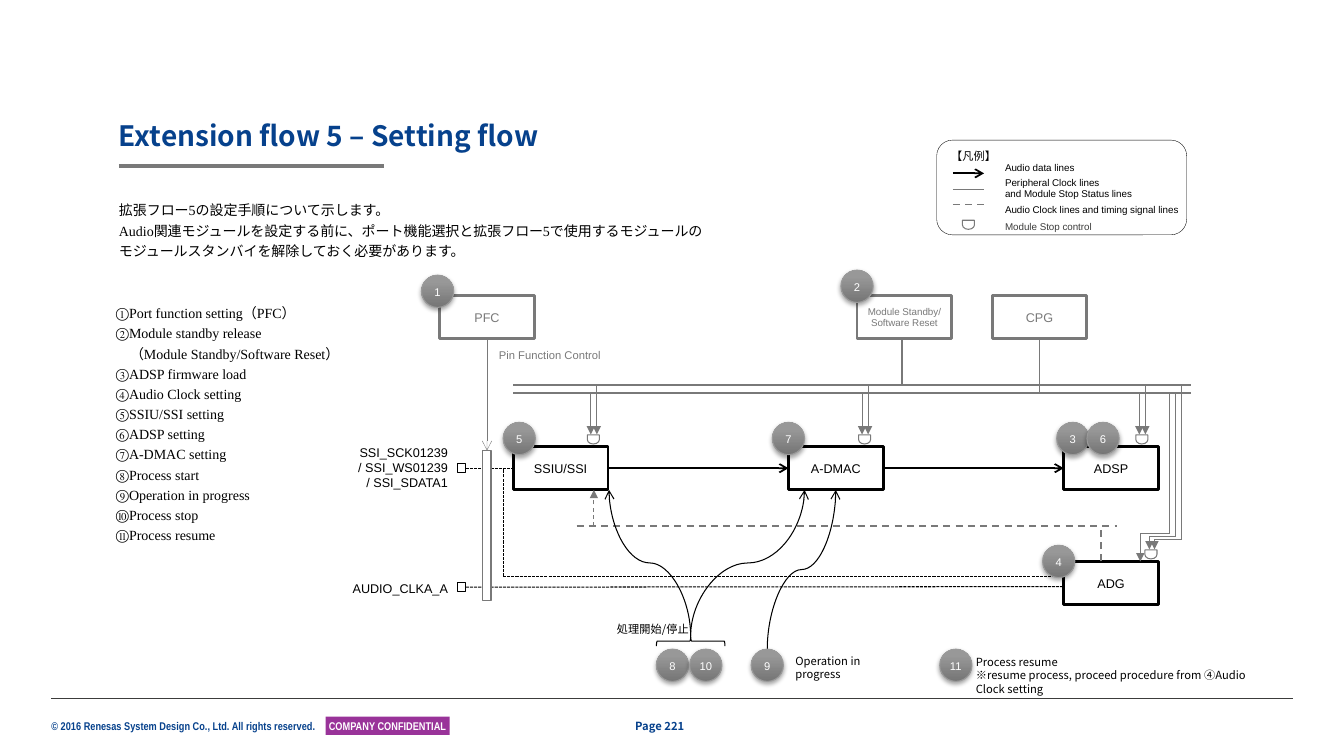
from dataclasses import dataclass, replace
from typing import NamedTuple, Optional

from lxml import etree
from pptx import Presentation
from pptx.dml.color import RGBColor
from pptx.enum import dml, shapes, text
from pptx.oxml.ns import qn
from pptx.util import Inches, Pt

COLOURS = {"black": "000000", "white": "FFFFFF", "grey": "797979", "dark": "3C3C3B",
           "blue": "06418C", "purple": "993399", "badge_low": "757575",
           "badge_high": "989898", "badge_line": "9A9A9A"}
SANS, NARROW, CJK, SERIF = "Arial", "Arial Narrow", "Noto Sans CJK JP", "Times New Roman"
SHAPE, ALIGN, ANCHOR = shapes.MSO_SHAPE, text.PP_ALIGN, text.MSO_ANCHOR
DASH = dml.MSO_LINE
BLOCK_WIDTH, BLOCK_HEIGHT, BADGE_SIZE = 0.94, 0.43, 0.32
BUS_TOP, BUS_BOTTOM = 3.82, 3.9


class Box(NamedTuple):
    left: float
    top: float
    width: float
    height: float


@dataclass(frozen=True)
class TextStyle:
    size: float
    font: str = SANS
    colour: str = "black"
    bold: bool = False
    align: ALIGN = ALIGN.LEFT
    anchor: ANCHOR = ANCHOR.TOP
    inset: Optional[float] = None
    spacing: Optional[float] = None
    wrap: bool = True


@dataclass(frozen=True)
class WireStyle:
    colour: str
    width: float
    dash: Optional[DASH] = None
    arrow: Optional[str] = None


class Block(NamedTuple):
    label: str
    left: float
    top: float
    colour: str = "black"
    size: float = 9


class Label(NamedTuple):
    box: Box
    lines: str
    style: TextStyle


presentation = Presentation()
presentation.slide_width, presentation.slide_height = Inches(13.33), Inches(7.5)
slide = presentation.slides.add_slide(presentation.slide_layouts[5])


def rgb(name: str) -> RGBColor:
    return RGBColor.from_string(COLOURS[name])


def write(shape, lines: str, style: TextStyle) -> None:
    frame = shape.text_frame
    frame.text = lines
    frame.word_wrap = style.wrap
    frame.vertical_anchor = style.anchor
    if style.inset is not None:
        frame.margin_left = frame.margin_right = Inches(style.inset)
        frame.margin_top = frame.margin_bottom = 0
    for paragraph in frame.paragraphs:
        paragraph.alignment = style.align
        if style.spacing:
            paragraph.line_spacing = style.spacing
        font = paragraph.font
        font.name, font.size, font.bold = style.font, Pt(style.size), style.bold
        font.color.rgb = rgb(style.colour)


def add_label(label: Label):
    box = slide.shapes.add_textbox(*map(Inches, label.box))
    write(box, label.lines, label.style)
    return box


def add_shape(kind: SHAPE, box: Box, line: Optional[str], width: float = 0.75,
              fill: Optional[str] = None, rotation: float = 0):
    shape = slide.shapes.add_shape(kind, *map(Inches, box))
    shape.shadow.inherit = False
    shape.rotation = rotation
    if fill:
        shape.fill.solid()
        shape.fill.fore_color.rgb = rgb(fill)
    else:
        shape.fill.background()
    if line:
        shape.line.color.rgb = rgb(line)
        shape.line.width = Pt(width)
    else:
        shape.line.fill.background()
    return shape


def add_block(block: Block):
    shape = add_shape(SHAPE.RECTANGLE, Box(block.left, block.top, BLOCK_WIDTH, BLOCK_HEIGHT),
                      block.colour, 2)
    write(shape, block.label, TextStyle(block.size, colour=block.colour, align=ALIGN.CENTER,
                                        anchor=ANCHOR.MIDDLE, inset=0))
    return shape


def add_gate(left: float, top: float) -> None:
    """Draw a module stop gate, its round side down."""
    add_shape(SHAPE.FLOWCHART_DELAY, Box(left, top, 0.09, 0.12), "grey", rotation=90)


def add_badge(number: int, left: float, top: float) -> None:
    badge = add_shape(SHAPE.OVAL, Box(left, top, BADGE_SIZE, BADGE_SIZE), "badge_line")
    badge.fill.gradient()
    badge.fill.gradient_angle = 90
    low, high = badge.fill.gradient_stops
    low.color.rgb, high.color.rgb = rgb("badge_low"), rgb("badge_high")
    high.position = 0.8
    effects = badge.element.spPr.find(qn("a:effectLst"))
    shadow = etree.SubElement(effects, qn("a:outerShdw"), blurRad="40000", dist="23000",
                              dir="5400000", rotWithShape="0")
    colour = etree.SubElement(shadow, qn("a:srgbClr"), val=COLOURS["black"])
    etree.SubElement(colour, qn("a:alpha"), val="35000")
    write(badge, str(number), TextStyle(8, colour="white", align=ALIGN.CENTER, inset=0,
                                        anchor=ANCHOR.MIDDLE, spacing=Pt(11), wrap=False))


def add_wire(start: tuple, end: tuple, style: WireStyle, begin=None, finish=None,
             kind=shapes.MSO_CONNECTOR.STRAIGHT):
    """Draw a line; begin and finish are optional (shape, side) joints."""
    wire = slide.shapes.add_connector(kind, *map(Inches, (*start, *end)))
    wire.line.color.rgb = rgb(style.colour)
    wire.line.width = Pt(style.width)
    if style.dash:
        wire.line.dash_style = style.dash
    properties = wire.element.spPr
    if style.arrow:
        etree.SubElement(properties.find(qn("a:ln")), qn("a:tailEnd"), type=style.arrow)
    etree.SubElement(properties, qn("a:effectLst"))
    if begin:
        wire.begin_connect(*begin)
    if finish:
        wire.end_connect(*finish)
    return wire


def add_rising_curve(start: tuple, end: tuple, style: WireStyle) -> None:
    """Draw an S-curve that leaves and arrives vertically: a level one turned by 270 degrees."""
    middle_x, middle_y = (start[0] + end[0]) / 2, (start[1] + end[1]) / 2
    half_rise, half_shift = (start[1] - end[1]) / 2, (end[0] - start[0]) / 2
    curve = add_wire((middle_x - half_rise, middle_y - half_shift),
                     (middle_x + half_rise, middle_y + half_shift), style,
                     kind=shapes.MSO_CONNECTOR.CURVE)
    curve.element.spPr.find(qn("a:xfrm")).set("rot", str(270 * 60000))


DATA = WireStyle("black", 1.25, arrow="arrow")
CLOCK = WireStyle("grey", 1.25)
TIMING = WireStyle("grey", 1.25, DASH.DASH)
DROP = WireStyle("grey", 0.75)
DROP_ARROW = replace(DROP, arrow="triangle")
DOTTED = WireStyle("black", 0.75, DASH.SQUARE_DOT)
CONTROL = WireStyle("black", 0.75, arrow="arrow")

# Title, footer and explanation
title = slide.shapes.title
title.left, title.top, title.width, title.height = map(Inches, (1.18, 1.2, 9.84, 0.31))
write(title, "Extension flow 5 – Setting flow",
      TextStyle(20, CJK, "blue", True, anchor=ANCHOR.BOTTOM, inset=0, spacing=0.9))
add_wire((0.51, 6.93), (12.82, 6.93), WireStyle("dark", 0.5))
add_wire((1.18, 1.65), (3.81, 1.65), WireStyle("grey", 3))
stamp = add_shape(SHAPE.RECTANGLE, Box(3.23, 7.11, 1.23, 0.18), None, fill="purple")
write(stamp, "COMPANY CONFIDENTIAL", TextStyle(8, NARROW, "white", True, ALIGN.CENTER,
                                               ANCHOR.MIDDLE, 0.04, wrap=False))
footer = TextStyle(8, NARROW, "blue", True, inset=0, wrap=False)
prose = TextStyle(10, SERIF, inset=0, spacing=1.2)
legend_text, note = TextStyle(7), TextStyle(8, CJK)
pin_text = TextStyle(9, align=ALIGN.RIGHT)
steps = add_label(Label(Box(1.15, 2.99, 2.7, 2.42), """①Port function setting（PFC）
②Module standby release
（Module Standby/Software Reset）
③ADSP firmware load
④Audio Clock setting
⑤SSIU/SSI setting
⑥ADSP setting
⑦A-DMAC setting
⑧Process start
⑨Operation in progress
⑩Process stop
⑪Process resume""", prose))
steps.text_frame.paragraphs[2].font._element.getparent().set("marL", str(Inches(0.14)))

# Legend
legend = add_shape(SHAPE.ROUNDED_RECTANGLE, Box(9.29, 1.39, 2.48, 0.94), "black", 0.25)
write(legend, "【凡例】", note)
for y, style in ((1.72, DATA), (1.88, CLOCK), (2.03, TIMING)):
    add_wire((9.45, y), (9.76, y), style)
add_gate(9.56, 2.17)

for label in (
    Label(Box(0.51, 7.14, 2.67, 0.13),
          "© 2016 Renesas System Design Co., Ltd. All rights reserved.", footer),
    Label(Box(6.3, 7.14, 0.73, 0.13), "Page 221",
          replace(footer, font=CJK, anchor=ANCHOR.MIDDLE)),
    Label(Box(1.18, 1.97, 8.1, 0.61), """拡張フロー5の設定手順について示します。
Audio関連モジュールを設定する前に、ポート機能選択と拡張フロー5で使用するモジュールの
モジュールスタンバイを解除しておく必要があります。""", prose),
    Label(Box(9.87, 1.55, 1.55, 0.22), "Audio data lines", legend_text),
    Label(Box(9.87, 1.7, 1.55, 0.34),
          "Peripheral Clock lines\nand Module Stop Status lines", legend_text),
    Label(Box(9.87, 1.97, 2.07, 0.22), "Audio Clock lines and timing signal lines", legend_text),
    Label(Box(9.87, 2.14, 1.55, 0.22), "Module Stop control", replace(legend_text, colour="dark")),
    Label(Box(4.85, 3.41, 1.26, 0.24), "Pin Function Control", TextStyle(8, colour="grey")),
    Label(Box(3.12, 4.36, 1.42, 0.56), "SSI_SCK01239\n/ SSI_WS01239\n/ SSI_SDATA1", pin_text),
    Label(Box(3.12, 5.71, 1.42, 0.25), "AUDIO_CLKA_A", pin_text),
    Label(Box(5.64, 6.12, 1.29, 0.24), "処理開始/停止", replace(note, align=ALIGN.RIGHT)),
    Label(Box(7.79, 6.44, 1, 0.37), "Operation in progress", note),
    Label(Box(9.58, 6.45, 3.15, 0.5),
          "Process resume\n※resume process, proceed procedure from ④Audio Clock setting", note),
):
    add_label(label)

# Blocks and pins
pfc, standby, cpg, ssiu, dmac, adsp, adg = map(add_block, (
    Block("PFC", 4.36, 2.93, "grey"),
    Block("Module Standby/\nSoftware Reset", 8.5, 2.93, "grey", 7),
    Block("CPG", 9.84, 2.93, "grey"), Block("SSIU/SSI", 5.09, 4.43),
    Block("A-DMAC", 7.82, 4.43), Block("ADSP", 10.55, 4.43), Block("ADG", 10.55, 5.57)))
ssi_pin, clock_pin = (add_shape(SHAPE.RECTANGLE, Box(4.54, top, 0.08, 0.09), "black", fill="white")
                      for top in (4.6, 5.78))

# Pin and audio clock wiring
add_wire((4.62, 4.64), (5.09, 4.64), DOTTED, (ssi_pin, 3), (ssiu, 1))
add_wire((4.62, 5.82), (10.55, 5.82), DOTTED, (clock_pin, 3))
add_wire((4.99, 5.72), (4.99, 4.65), DOTTED)
add_wire((4.99, 5.72), (10.55, 5.72), DOTTED)
pin_bar = add_shape(SHAPE.RECTANGLE, Box(4.79, 4.47, 0.08, 1.49), "grey", fill="white")
add_wire((4.83, 3.36), (4.83, 4.47), WireStyle("grey", 0.25, arrow="arrow"),
         (pfc, 2), (pin_bar, 0))
add_wire((5.72, 5.22), (11.08, 5.22), TIMING)
add_wire((10.92, 5.57), (10.92, 5.22), TIMING)
add_wire((5.89, 5.22), (5.89, 4.86), replace(DROP_ARROW, dash=DASH.DASH))

# Peripheral clock bus and its drops
for y in (BUS_TOP, BUS_BOTTOM):
    add_wire((5.09, y), (11.81, y), CLOCK)
add_wire((8.95, 3.36), (8.95, BUS_TOP), CLOCK)
add_wire((10.31, 3.36), (10.31, BUS_BOTTOM), CLOCK, (cpg, 2))
for x in (5.86, 8.55, 11.3):
    add_wire((x, BUS_BOTTOM), (x, 4.31), DROP_ARROW)
    add_wire((x + 0.06, BUS_TOP), (x + 0.06, 4.31), DROP_ARROW)
    add_gate(x - 0.02, 4.3)
for bus_x, bus_y, turn_y, end_x, end_y in ((11.72, BUS_TOP, 5.35, 11.45, 5.45),
                                           (11.66, BUS_BOTTOM, 5.32, 11.4, 5.45),
                                           (11.6, BUS_BOTTOM, 5.29, 11.31, 5.57)):
    add_wire((bus_x, bus_y), (bus_x, turn_y), DROP)
    add_wire((bus_x, turn_y), (end_x, turn_y), DROP)
    add_wire((end_x, turn_y), (end_x, end_y), DROP_ARROW)
add_gate(11.37, 5.44)

# Audio data and process control
add_wire((6.03, 4.64), (7.82, 4.64), DATA, (ssiu, 3), (dmac, 1))
add_wire((8.76, 4.64), (10.55, 4.64), DATA, (dmac, 3), (adsp, 1))
for start, end in (((6.85, 6.31), (6.04, 4.86)), ((6.85, 6.31), (7.98, 4.86)),
                   ((7.61, 6.44), (8.29, 4.86))):
    add_rising_curve(start, end, CONTROL)
add_shape(SHAPE.LEFT_BRACE, Box(6.8, 6.02, 0.1, 0.68), "black", rotation=90)
for number, left, top in ((1, 4.18, 2.73), (2, 8.34, 2.68), (3, 10.48, 4.19), (4, 10.34, 5.41),
                          (5, 4.99, 4.19), (6, 10.78, 4.19), (7, 7.66, 4.19), (8, 6.51, 6.44),
                          (9, 7.45, 6.44), (10, 6.84, 6.44), (11, 9.32, 6.44)):
    add_badge(number, left, top)

presentation.save("out.pptx")
